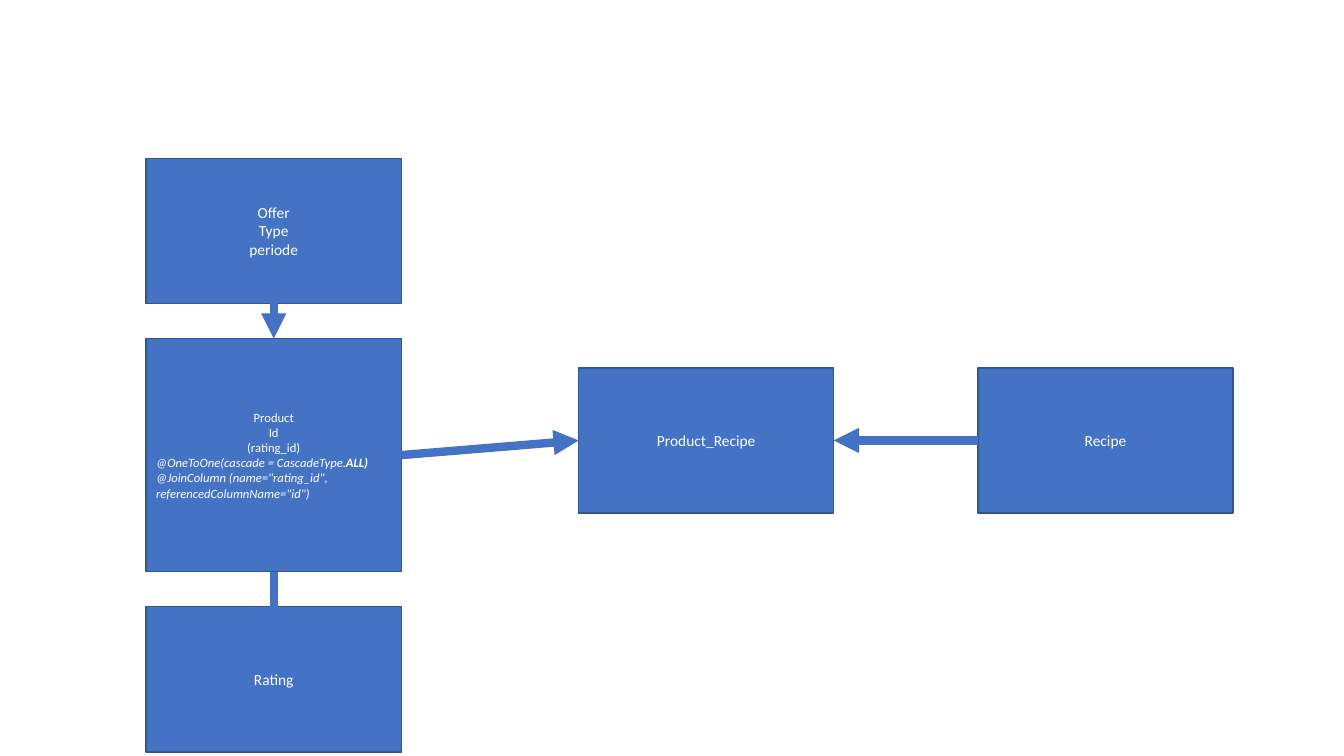
from dataclasses import dataclass

import pptx
import pptx.dml.color
import pptx.enum.shapes
import pptx.enum.text
import pptx.oxml
import pptx.oxml.ns
import pptx.util
from pptx.util import Inches

ALIGN = pptx.enum.text.PP_ALIGN
TOP, LEFT, BOTTOM, RIGHT = range(4)


@dataclass(frozen=True)
class Theme:
    fill: str = "4472C4"
    border: str = "325491"
    text: str = "FFFFFF"
    font: str = "Calibri"
    title_size: int = 11
    detail_size: int = 9
    border_width: int = 1
    connector_width: int = 6


def color(value):
    return pptx.dml.color.RGBColor.from_string(value)


class DiagramBuilder:
    """Draws entities and their relations on one slide."""

    def __init__(self, slide, theme):
        self.slide = slide
        self.theme = theme

    def entity(self, left, top, height, size, paragraphs):
        """Paragraphs are (alignment, runs); runs are (text, italic, bold)."""
        shape = self.slide.shapes.add_shape(
            pptx.enum.shapes.MSO_SHAPE.RECTANGLE,
            Inches(left), Inches(top), Inches(ENTITY_WIDTH), Inches(height))
        shape.shadow.inherit = False
        shape.fill.solid()
        shape.fill.fore_color.rgb = color(self.theme.fill)
        shape.line.color.rgb = color(self.theme.border)
        shape.line.width = pptx.util.Pt(self.theme.border_width)
        frame = shape.text_frame
        frame.word_wrap = True
        frame.vertical_anchor = pptx.enum.text.MSO_ANCHOR.MIDDLE
        for index, (alignment, runs) in enumerate(paragraphs):
            paragraph = frame.add_paragraph() if index else frame.paragraphs[0]
            paragraph.alignment = alignment
            for text, italic, bold in runs:
                run = paragraph.add_run()
                run.text = text
                run.font.name = self.theme.font
                run.font.size = pptx.util.Pt(size)
                run.font.color.rgb = color(self.theme.text)
                run.font.italic = italic
                run.font.bold = bold
        return shape

    def relation(self, source, source_side, target, target_side, arrow=True):
        connector = self.slide.shapes.add_connector(
            pptx.enum.shapes.MSO_CONNECTOR.STRAIGHT, 0, 0, 0, 0)
        connector.begin_connect(source, source_side)
        connector.end_connect(target, target_side)
        connector.line.color.rgb = color(self.theme.fill)
        connector.line.width = pptx.util.Pt(self.theme.connector_width)
        if arrow:
            line = connector.line._get_or_add_ln()
            head = pptx.oxml.ns.qn("a:tailEnd")
            line.append(line.makeelement(head, {"type": "triangle"}))
        properties = connector._element.spPr
        properties.append(properties.makeelement(pptx.oxml.ns.qn("a:effectLst"), {}))


def centred(*lines):
    return [(ALIGN.CENTER, [(line, False, False)]) for line in lines]


# Layout
ENTITY_WIDTH = 2.53
ENTITY_HEIGHT = 1.44
PRODUCT_HEIGHT = 2.31
GAP = 0.35
COLUMN_LEFT = 1.45
OFFER_TOP = 1.57
PRODUCT_TOP = OFFER_TOP + ENTITY_HEIGHT + GAP
RATING_TOP = PRODUCT_TOP + PRODUCT_HEIGHT + GAP
RECIPE_TOP = 3.65


def main():
    presentation = pptx.Presentation()
    presentation.slide_width = Inches(13.33)
    presentation.slide_height = Inches(7.5)
    slide = presentation.slides.add_slide(presentation.slide_layouts[6])
    theme = Theme()
    diagram = DiagramBuilder(slide, theme)

    # Entities
    annotations = [
        (ALIGN.LEFT, [("@OneToOne(cascade = CascadeType.", True, False),
                      ("ALL)", True, True)]),
        (ALIGN.LEFT, [('@JoinColumn (name="rating_id", referencedColumnName="id")',
                       True, False)]),
    ]
    offer = diagram.entity(COLUMN_LEFT, OFFER_TOP, ENTITY_HEIGHT, theme.title_size,
                           centred("Offer", "Type", "periode"))
    product = diagram.entity(COLUMN_LEFT, PRODUCT_TOP, PRODUCT_HEIGHT, theme.detail_size,
                             centred("Product", "Id", "(rating_id)") + annotations)
    recipe = diagram.entity(9.7, RECIPE_TOP, ENTITY_HEIGHT, theme.title_size,
                            centred("Recipe"))
    product_recipe = diagram.entity(5.74, RECIPE_TOP, ENTITY_HEIGHT, theme.title_size,
                                    centred("Product_Recipe"))
    rating = diagram.entity(COLUMN_LEFT, RATING_TOP, ENTITY_HEIGHT, theme.title_size,
                            centred("Rating"))

    # Relations
    diagram.relation(offer, BOTTOM, product, TOP)
    diagram.relation(recipe, LEFT, product_recipe, RIGHT)
    diagram.relation(product, RIGHT, product_recipe, LEFT)
    diagram.relation(product, BOTTOM, rating, TOP, arrow=False)

    presentation.save("out.pptx")


if __name__ == "__main__":
    main()
